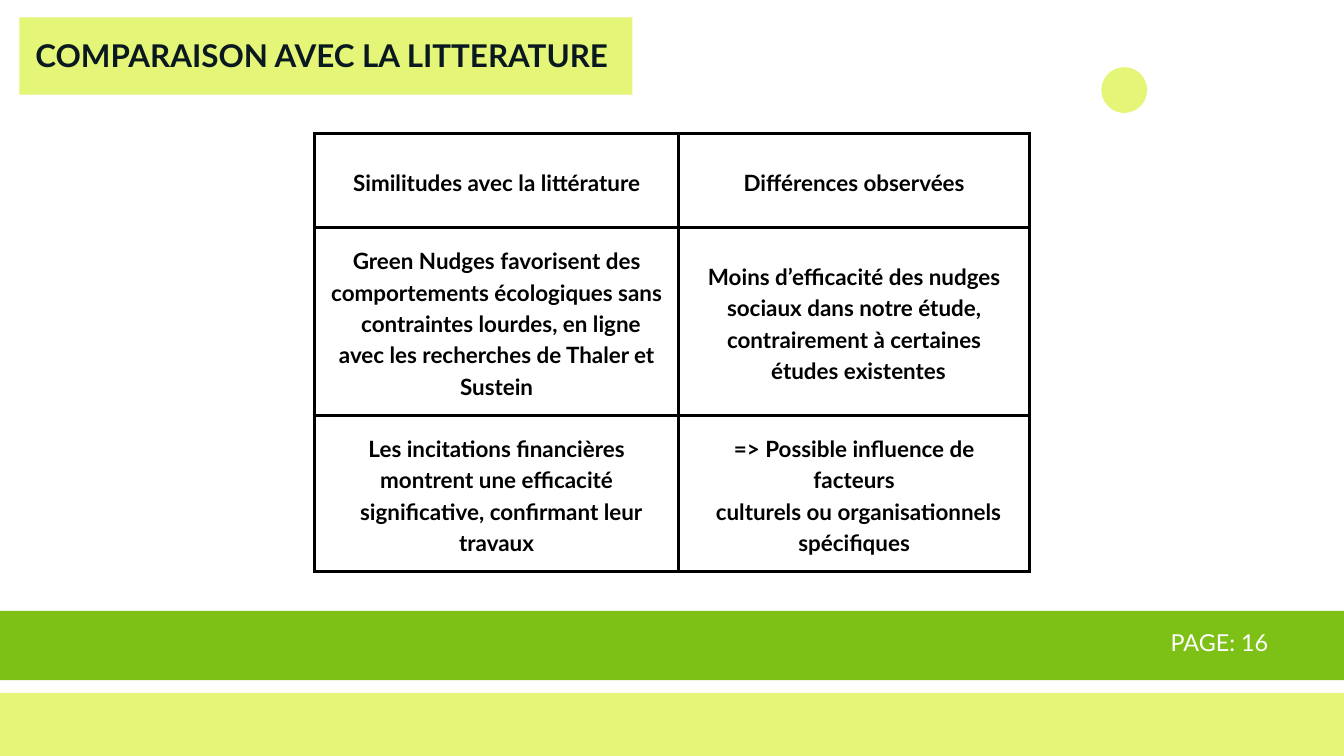
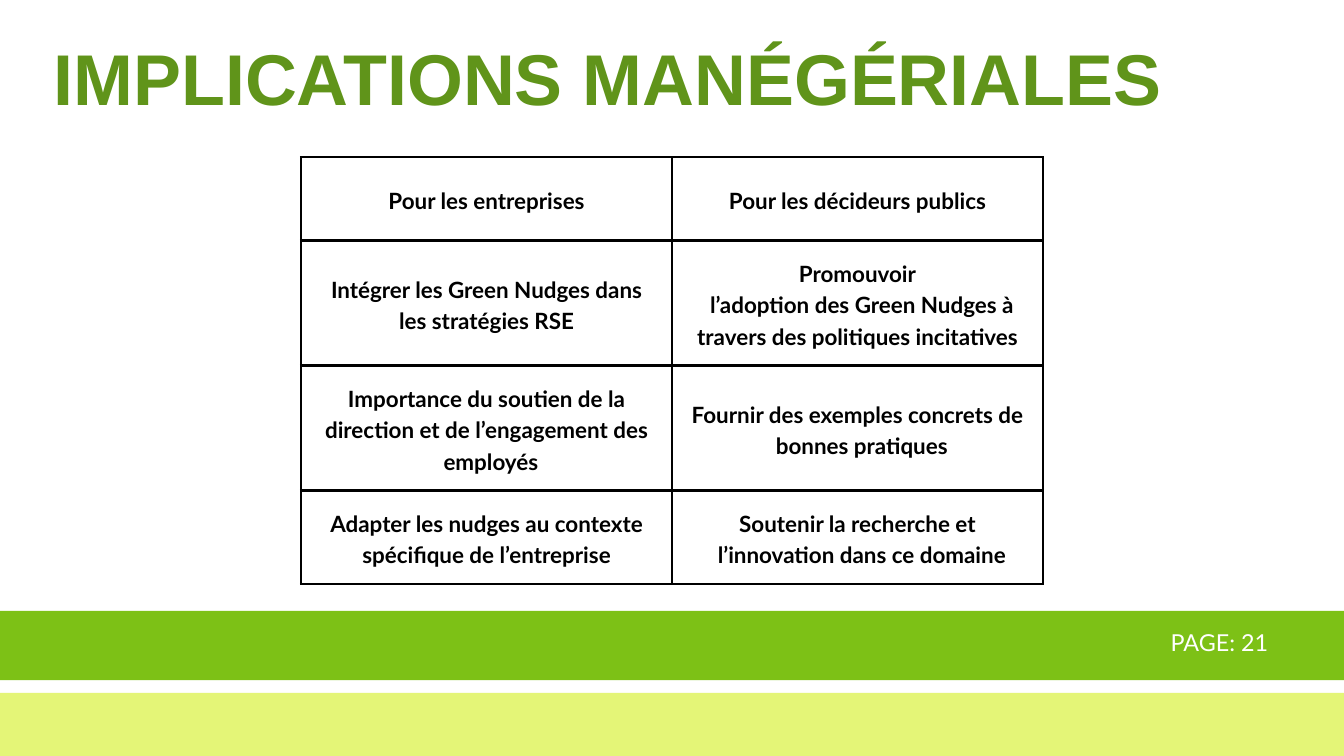
from dataclasses import dataclass

from lxml.etree import SubElement
from pptx import Presentation
from pptx.dml.color import RGBColor as RGB
from pptx.enum.shapes import MSO_SHAPE as SHAPE
from pptx.enum.text import MSO_ANCHOR as ANCHOR, PP_ALIGN as ALIGN
from pptx.oxml.ns import qn
from pptx.util import Inches, Pt


@dataclass(frozen=True)
class Theme:
    lime: str = "E4F577"
    green: str = "7DC116"
    dark_green: str = "60941A"
    ink: str = "0A191F"
    black: str = "000000"
    white: str = "FFFFFF"
    body_font: str = "Lato"
    title_font: str = "Arial"
    title: float = 77
    tag: float = 33.6
    cell: float = 24
    cell_line: float = 33.6
    page: float = 25


T = Theme()
WIDTH, HEIGHT = 20, 11.25
CELL_MARGIN = 0.21
LINE_INDENT = 0.13  # first-line indent of a cell's later paragraphs

# Each cell is a list of paragraphs.
COMPARISON = [
    [["Similitudes avec la littérature"], ["Différences observées"]],
    [["Green Nudges favorisent des comportements écologiques sans",
      "contraintes lourdes, en ligne avec les recherches de Thaler et Sustein"],
     ["Moins d’efficacité des nudges sociaux dans notre étude, contrairement à certaines",
      "études existentes"]],
    [["Les incitations financières montrent une efficacité",
      "significative, confirmant leur travaux"],
     ["=> Possible influence de facteurs",
      "culturels ou organisationnels spécifiques"]],
]
IMPLICATIONS = [
    [["Pour les entreprises"], ["Pour les décideurs publics"]],
    [["Intégrer les Green Nudges dans les stratégies RSE"],
     ["Promouvoir",
      "l’adoption des Green Nudges à travers des politiques incitatives"]],
    [["Importance du soutien de la direction et de l’engagement des", "employés"],
     ["Fournir des exemples concrets de", "bonnes pratiques"]],
    [["Adapter les nudges au contexte spécifique de l’entreprise"],
     ["Soutenir la recherche et", "l’innovation dans ce domaine"]],
]


def write(tf, paragraphs, size, color, font=T.body_font, bold=False,
          align=ALIGN.CENTER, line=None, indent=0):
    """Fill a text frame; indent shifts the first line of later paragraphs."""
    tf.word_wrap = True
    for i, text in enumerate(paragraphs):
        p = tf.paragraphs[0] if i == 0 else tf.add_paragraph()
        p.alignment = align
        p.line_spacing = Pt(line or size)
        if i and indent:
            p._p.get_or_add_pPr().set("indent", str(Inches(indent)))
        r = p.add_run()
        r.text = text
        r.font.size, r.font.name, r.font.bold = Pt(size), font, bold
        r.font.color.rgb = RGB.from_string(color)


def add_text(s, text, box, **fmt):
    tf = s.shapes.add_textbox(*map(Inches, box)).text_frame
    tf.margin_left = tf.margin_top = tf.margin_right = tf.margin_bottom = 0
    write(tf, [text], **fmt)


def add_block(s, box, color, kind=SHAPE.RECTANGLE):
    sp = s.shapes.add_shape(kind, *map(Inches, box))
    sp.shadow.inherit = False
    sp.fill.solid()
    sp.fill.fore_color.rgb = RGB.from_string(color)
    sp.line.fill.background()


def set_borders(cell, width):
    tcPr = cell._tc.get_or_add_tcPr()
    for side in ("lnL", "lnR", "lnT", "lnB"):
        ln = SubElement(tcPr, qn(f"a:{side}"), w=str(Pt(width)))
        fill = SubElement(ln, qn("a:solidFill"))
        SubElement(fill, qn("a:srgbClr"), val=T.black)


def add_grid(s, rows, top, widths, heights, border):
    """Add a bordered table centred across the slide."""
    left = (WIDTH - sum(widths)) / 2
    box = map(Inches, (left, top, sum(widths), sum(heights)))
    table = s.shapes.add_table(len(rows), len(widths), *box).table
    table.first_row = table.horz_banding = False
    for column, width in zip(table.columns, widths):
        column.width = Inches(width)
    for row, height, texts in zip(table.rows, heights, rows):
        row.height = Inches(height)
        for cell, paragraphs in zip(row.cells, texts):
            cell.margin_left = cell.margin_right = Inches(CELL_MARGIN)
            cell.margin_top = cell.margin_bottom = Inches(CELL_MARGIN)
            cell.vertical_anchor = ANCHOR.MIDDLE
            set_borders(cell, border)
            cell.fill.background()
            write(cell.text_frame, paragraphs, T.cell, T.black, bold=True,
                  line=T.cell_line, indent=LINE_INDENT)


def new_slide(prs, page):
    """Add a blank slide with the footer bands and page number."""
    s = prs.slides.add_slide(prs.slide_layouts[6])
    add_block(s, (0, 10.31, WIDTH, HEIGHT - 10.31), T.lime)
    add_block(s, (0, 9.09, WIDTH, 1.03), T.green)
    add_text(s, f"PAGE: {page}", (13.1, 9.42, 5.77, 0.35),
             size=T.page, color=T.white, align=ALIGN.RIGHT)
    return s


def comparison_slide(prs):
    s = new_slide(prs, 16)
    add_block(s, (0.29, 0.26, 9.12, 1.15), T.lime)
    add_block(s, (16.39, 1, 0.68, 0.68), T.lime, SHAPE.OVAL)
    add_grid(s, COMPARISON, 1.99, (5.42, 5.22), (1.4, 2.79, 2.33), border=3.75)
    add_text(s, "COMPARAISON AVEC LA LITTERATURE", (0.29, 0.63, 9, 0.49),
             size=T.tag, color=T.ink, bold=True)


def implications_slide(prs):
    s = new_slide(prs, 21)
    add_grid(s, IMPLICATIONS, 2.34, (5.52, 5.52), (1.24, 1.86, 1.86, 1.39), border=3)
    add_text(s, "IMPLICATIONS MANÉGÉRIALES", (0.8, 0.72, 19.2, 1.21),
             size=T.title, color=T.dark_green, font=T.title_font, bold=True,
             align=ALIGN.LEFT)


def main():
    prs = Presentation()
    prs.slide_width, prs.slide_height = Inches(WIDTH), Inches(HEIGHT)
    comparison_slide(prs)
    implications_slide(prs)
    prs.save("out.pptx")


if __name__ == "__main__":
    main()
